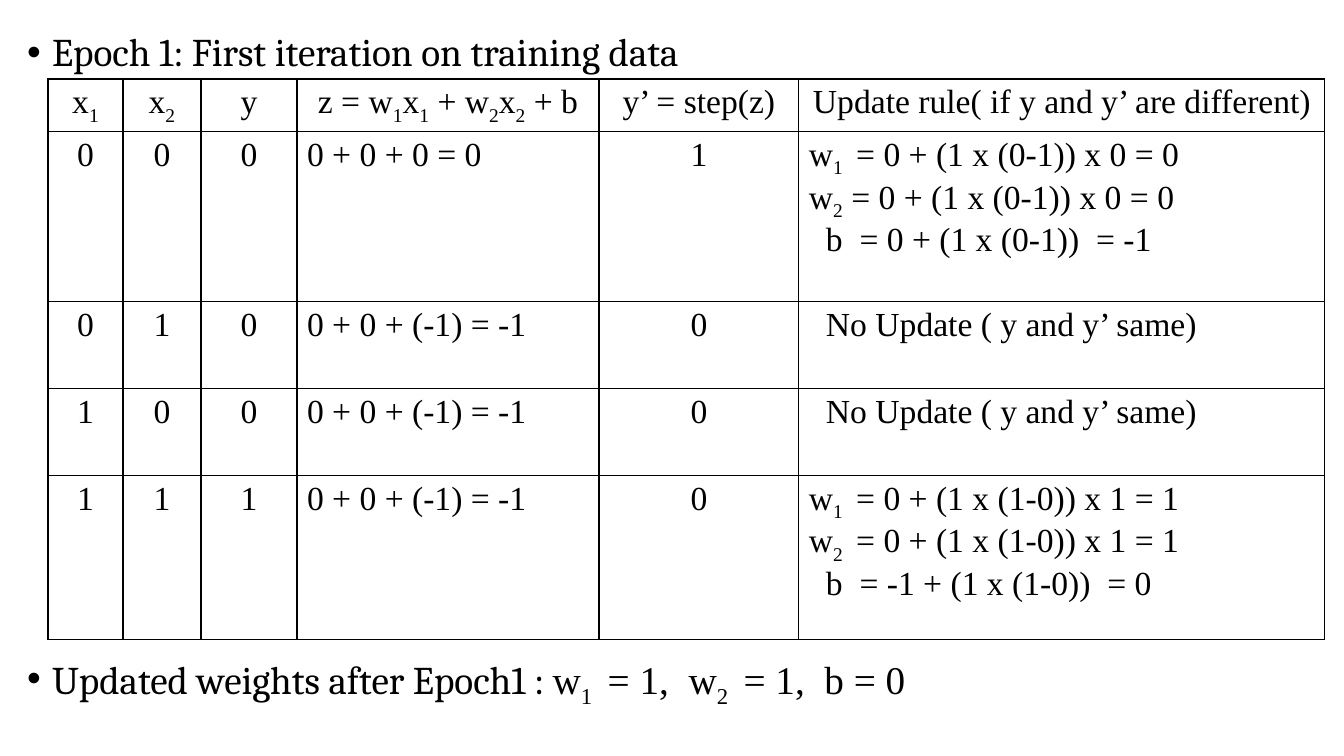
from dataclasses import dataclass
from lxml import etree
from pptx import Presentation, util as u
from pptx.dml import color
from pptx.enum import text
from pptx.oxml import ns

SLIDE_SIZE = (1344, 756)
BODY_BOX = (17, 28, 1308, 710)
TABLE_ORIGIN = (48, 79)
COLUMN_WIDTHS = (75, 78, 96, 302, 200, 526)
ROW_HEIGHTS = (52, 170, 87, 87, 164)
LEFT_COLUMNS = (3, 5)
BULLET_INDENT = 25
CELL_INDENT = 17


@dataclass(frozen=True)
class Theme:
    heading_font: str = "Cambria"
    math_font: str = "Times New Roman"
    ink: str = "000000"
    body_size: int = 28
    table_size: int = 24
    border_width: int = 1


THEME = Theme()

# Pieces between underscores are subscripts; a leading ">" marks an indented line.
BULLETS = [
    (0, [("Epoch 1: First iteration on training data", THEME.heading_font)]),
    (415, [("Updated weights after Epoch1 : ", THEME.heading_font),
           ("w_1 _ = 1,  w_2 _ = 1,  b = 0", THEME.math_font)]),
]
NO_UPDATE = [">No Update ( y and y’ same)"]
ROWS = [
    ("x_1_", "x_2_", "y", "z = w_1_x_1_ + w_2_x_2_ + b", "y’ = step(z)",
     ["Update rule( if y and y’ are different)"]),
    ("0", "0", "0", "0 + 0 + 0 = 0", "1",
     ["w_1 _ = 0 + (1 x (0-1)) x 0 = 0",
      "w_2_ = 0 + (1 x (0-1)) x 0 = 0",
      ">b  = 0 + (1 x (0-1))  = -1"]),
    ("0", "1", "0", "0 + 0 + (-1) = -1", "0", NO_UPDATE),
    ("1", "0", "0", "0 + 0 + (-1) = -1", "0", NO_UPDATE),
    ("1", "1", "1", "0 + 0 + (-1) = -1", "0",
     ["w_1 _ = 0 + (1 x (1-0)) x 1 = 1",
      "w_2 _ = 0 + (1 x (1-0)) x 1 = 1",
      ">b  = -1 + (1 x (1-0))  = 0"]),
]


def px(length):
    return u.Emu(round(length * 914400 / 100.8))


def set_indent(paragraph, left, first=0):
    properties = paragraph._p.get_or_add_pPr()
    properties.set("marL", str(px(left)))
    properties.set("indent", str(px(first)))


def write_runs(paragraph, marked_text, font_name, size):
    for position, piece in enumerate(marked_text.split("_")):
        if not piece:
            continue
        run = paragraph.add_run()
        run.text = piece
        run.font.name = font_name
        run.font.size = u.Pt(size)
        run.font.color.rgb = color.RGBColor.from_string(THEME.ink)
        if position % 2:
            run._r.get_or_add_rPr().set("baseline", "-25000")


def paragraph_at(frame, index):
    return frame.add_paragraph() if index else frame.paragraphs[0]


def add_borders(cell):
    properties = cell._tc.get_or_add_tcPr()
    for position, side in enumerate(("lnL", "lnR", "lnT", "lnB")):
        line = etree.Element(ns.qn("a:" + side), w=str(u.Pt(THEME.border_width)))
        fill = etree.SubElement(line, ns.qn("a:solidFill"))
        etree.SubElement(fill, ns.qn("a:srgbClr"), val=THEME.ink)
        properties.insert(position, line)


def fill_body(body):
    body.left, body.top, body.width, body.height = map(px, BODY_BOX)
    frame = body.text_frame
    frame.auto_size = text.MSO_AUTO_SIZE.NONE
    frame.vertical_anchor = text.MSO_ANCHOR.TOP
    for index, (space_before, segments) in enumerate(BULLETS):
        paragraph = paragraph_at(frame, index)
        set_indent(paragraph, BULLET_INDENT, -BULLET_INDENT)
        paragraph.line_spacing = 0.9
        paragraph.space_before = u.Pt(space_before)
        for words, font_name in segments:
            write_runs(paragraph, words, font_name, THEME.body_size)


def fill_cell(cell, lines, centred):
    cell.fill.background()
    add_borders(cell)
    for index, line in enumerate(lines):
        paragraph = paragraph_at(cell.text_frame, index)
        paragraph.alignment = text.PP_ALIGN.CENTER if centred else text.PP_ALIGN.LEFT
        if line.startswith(">"):
            set_indent(paragraph, CELL_INDENT)
        write_runs(paragraph, line.lstrip(">"), THEME.math_font, THEME.table_size)


def add_epoch_table(slide):
    left, top = TABLE_ORIGIN
    table = slide.shapes.add_table(
        len(ROWS), len(COLUMN_WIDTHS), px(left), px(top),
        px(sum(COLUMN_WIDTHS)), px(sum(ROW_HEIGHTS))).table
    table.first_row = table.horz_banding = False
    for column, width in zip(table.columns, COLUMN_WIDTHS):
        column.width = px(width)
    for row_index, (row, height) in enumerate(zip(ROWS, ROW_HEIGHTS)):
        table.rows[row_index].height = px(height)
        for column_index, content in enumerate(row):
            lines = [content] if isinstance(content, str) else content
            centred = row_index == 0 or column_index not in LEFT_COLUMNS
            fill_cell(table.cell(row_index, column_index), lines, centred)


def main():
    presentation = Presentation()
    presentation.slide_width, presentation.slide_height = map(px, SLIDE_SIZE)
    slide = presentation.slides.add_slide(presentation.slide_layouts[1])
    title = slide.shapes.title
    title._element.getparent().remove(title._element)
    fill_body(slide.placeholders[1])
    add_epoch_table(slide)
    presentation.save("out.pptx")


if __name__ == "__main__":
    main()
